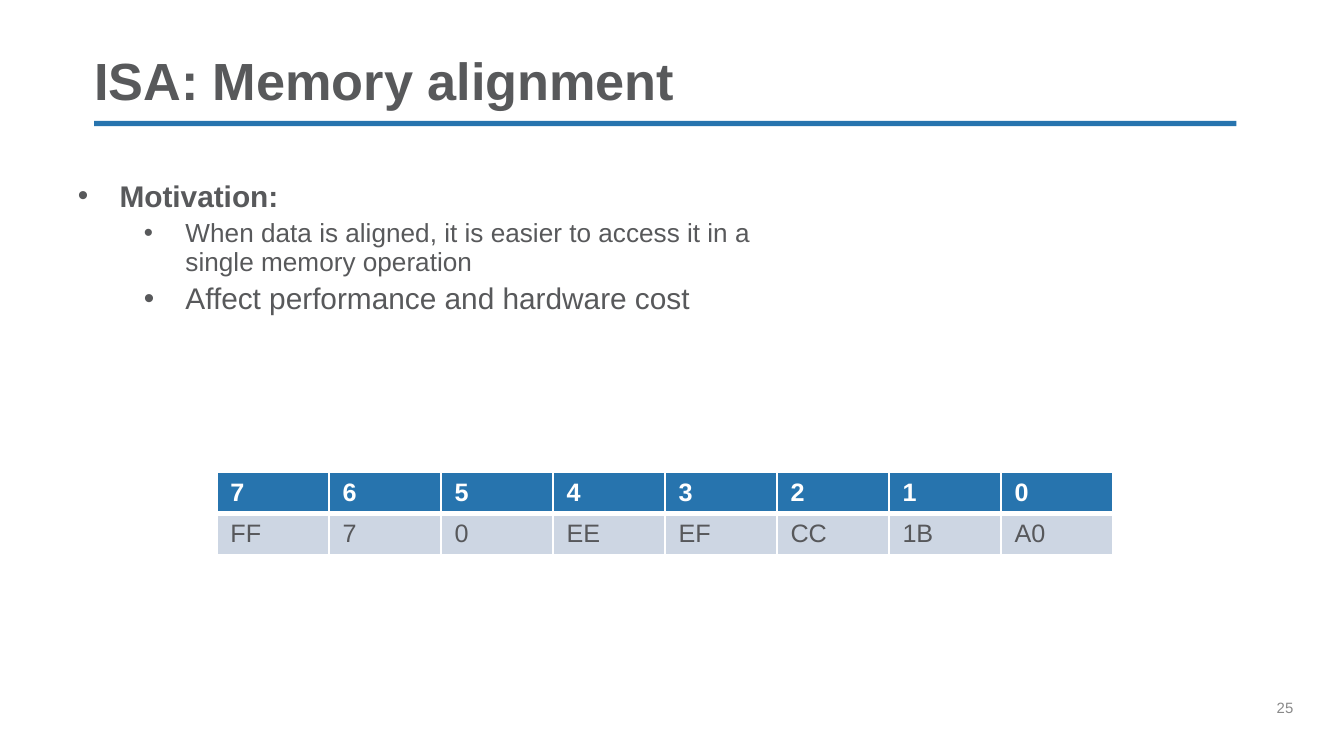
from lxml import etree
from pptx import Presentation
from pptx import util as u
from pptx.dml.color import RGBColor
from pptx.enum import shapes, text
from pptx.oxml import ns

PX = u.Inches(1) // 200  # 200 px to the inch

THEME = {
    "font": "Arial",
    "blue": "2774AE", "grey": "58595B", "pale": "CDD6E3",
    "cell_text": "57585B", "number": "898989", "white": "FFFFFF",
    "title": 28, "head": 16, "detail": 14, "cell": 13.5, "small": 8,
}


def px(*lengths):
    return [u.Emu(length * PX) for length in lengths]


def set_all(target, values):
    for name, value in values.items():
        setattr(target, name, value)


def write(para, words, size, color, bold=False):
    span = para.add_run()
    span.text = words
    set_all(span.font, {"name": THEME["font"], "size": u.Pt(THEME[size]), "bold": bold})
    span.font.color.rgb = RGBColor.from_string(THEME[color])


def add_frame(page, box, anchor=text.MSO_ANCHOR.TOP):
    frame = page.shapes.add_textbox(*px(*box)).text_frame
    set_all(frame, {"margin_left": 0, "margin_top": 0, "margin_right": 0,
                    "margin_bottom": 0, "word_wrap": True, "vertical_anchor": anchor})
    return frame


def add_bullet(para, indent, hang):
    props = para._p.get_or_add_pPr()
    props.set("marL", str(indent * PX))
    props.set("indent", str(-hang * PX))
    etree.SubElement(props, ns.qn("a:buFont"), typeface=THEME["font"])
    etree.SubElement(props, ns.qn("a:buChar"), char="•")


def add_border(cell, side, points):
    props = cell._tc.get_or_add_tcPr()
    line = etree.SubElement(props, ns.qn(f"a:{side}"), w=str(u.Pt(points)))
    fill = etree.SubElement(line, ns.qn("a:solidFill"))
    etree.SubElement(fill, ns.qn("a:srgbClr"), val=THEME["white"])


def title_region(page, box, words):
    left, top, width, height = box
    # Heading
    frame = add_frame(page, box, text.MSO_ANCHOR.BOTTOM)
    para = frame.paragraphs[0]
    para.line_spacing = 0.9
    write(para, words, "title", "grey", bold=True)
    # Rule below it
    rule = page.shapes.add_shape(shapes.MSO_SHAPE.RECTANGLE,
                                 *px(left, top + height + 13, width, 8))
    rule.shadow.inherit = False
    rule.fill.solid()
    rule.fill.fore_color.rgb = RGBColor.from_string(THEME["blue"])
    rule.line.fill.background()


def bullet_region(page, box, heading, details):
    frame = add_frame(page, box)
    # Heading bullet
    para = frame.paragraphs[0]
    add_bullet(para, 62, 62)
    write(para, heading, "head", "grey", bold=True)
    # Second-level bullets
    for words, size in details:
        para = frame.add_paragraph()
        set_all(para, {"level": 1, "line_spacing": 0.9, "space_before": u.Pt(3.8)})
        add_bullet(para, 160, 62)
        write(para, words, size, "grey")


def memory_table(page, box, rows):
    table = page.shapes.add_table(len(rows), len(rows[0]), *px(*box)).table
    styles = [("blue", "white", True, 3), ("pale", "cell_text", False, 1)]
    margins = dict(zip(("margin_left", "margin_top", "margin_right", "margin_bottom"),
                       px(20, 10, 20, 6)))
    for r, (values, style) in enumerate(zip(rows, styles)):
        fill, color, bold, bottom = style
        top = styles[r - 1][3] if r else 1
        for c, value in enumerate(values):
            cell = table.cell(r, c)
            set_all(cell, margins)
            for side, points in (("lnL", 1), ("lnR", 1), ("lnT", top), ("lnB", bottom)):
                add_border(cell, side, points)
            cell.fill.solid()
            cell.fill.fore_color.rgb = RGBColor.from_string(THEME[fill])
            write(cell.text_frame.paragraphs[0], value, "cell", color, bold)


def page_number(page, box, number):
    write(add_frame(page, box).paragraphs[0], number, "small", "number")


def main():
    deck = Presentation()
    deck.slide_width, deck.slide_height = px(2000, 1125)
    page = deck.slides.add_slide(deck.slide_layouts[6])

    title_region(page, (140, 83, 1700, 84), "ISA: Memory alignment")
    bullet_region(page, (116, 264, 1078, 210), "Motivation:", [
        ("When data is aligned, it is easier to access it in a single memory operation",
         "detail"),
        ("Affect performance and hardware cost", "head"),
    ])
    memory_table(page, (323, 703, 1334, 122), [
        ["7", "6", "5", "4", "3", "2", "1", "0"],
        ["FF", "7", "0", "EE", "EF", "CC", "1B", "A0"],
    ])
    page_number(page, (1900, 1040, 100, 80), "25")
    deck.save("out.pptx")


if __name__ == "__main__":
    main()
